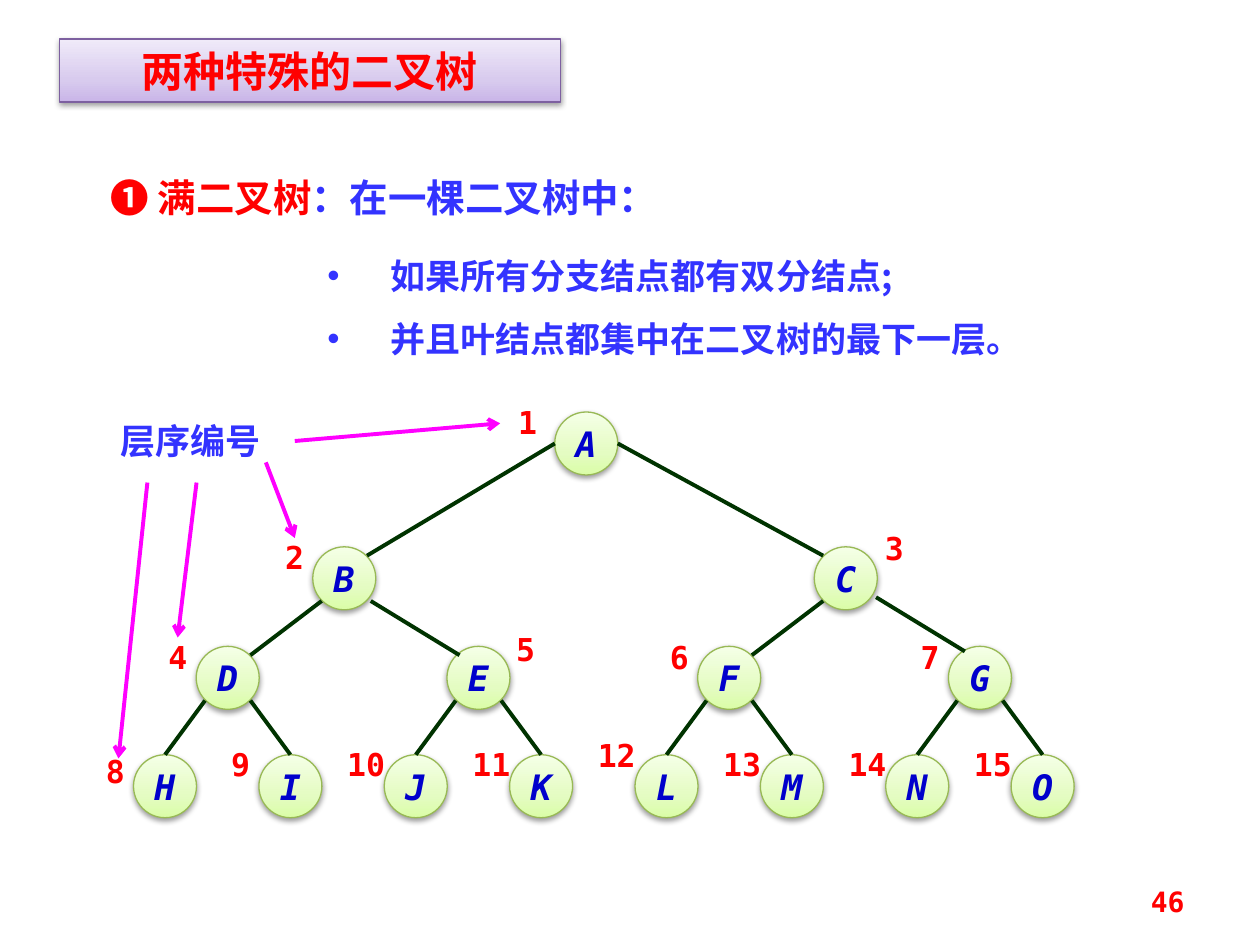
from copy import deepcopy

from lxml.etree import SubElement
from pptx import Presentation
from pptx.dml.color import RGBColor
from pptx.enum.shapes import MSO_CONNECTOR as Link, MSO_SHAPE as Form
from pptx.enum.text import MSO_ANCHOR as Anchor, PP_ALIGN as Align
from pptx.oxml.ns import qn
from pptx.util import Inches, Pt

RED = RGBColor(0xFF, 0x00, 0x00)
BLUE = RGBColor(0x33, 0x33, 0xFF)
NAVY = RGBColor(0x00, 0x00, 0xCC)
PINK = RGBColor(0xFF, 0x00, 0xFF)
DARK = RGBColor(0x00, 0x33, 0x00)
LEAF = RGBColor(0x98, 0xB9, 0x55)
PLUM = RGBColor(0x7D, 0x60, 0xA0)
GREENS = [RGBColor(0xDA, 0xFD, 0xA7), RGBColor(0xE4, 0xFC, 0xC2), RGBColor(0xF5, 0xFF, 0xE7)]
LILACS = [RGBColor(0xC9, 0xB5, 0xE8), RGBColor(0xD8, 0xCB, 0xEE), RGBColor(0xF0, 0xEA, 0xF9)]
MONO = "DejaVu Sans Mono"
SANS = "Noto Sans CJK SC"


def write(box, text, size=20, color=RED, face=MONO, italic=False,
          align=Align.LEFT, inset=None, wrap=True, anchor=Anchor.MIDDLE):
    frame = box.text_frame
    frame.word_wrap = wrap
    frame.vertical_anchor = anchor
    if inset is not None:
        frame.margin_left = frame.margin_right = inset
        frame.margin_top = frame.margin_bottom = inset
    para = frame.paragraphs[-1]
    para.alignment = align
    run = para.add_run()
    run.text = text
    font = run.font
    font.size, font.bold, font.italic = Pt(size), True, italic
    font.color.rgb = color
    font.name = face
    SubElement(run._r.get_or_add_rPr(), qn("a:ea"), typeface=SANS)


def shade(shape, tints, edge):
    fill = shape.fill
    fill.gradient()
    fill.gradient_angle = 90
    first = fill.gradient_stops[0]._gs
    first.addnext(deepcopy(first))
    for stop, tint, place in zip(fill.gradient_stops, tints, (0, 0.35, 1)):
        stop.color.rgb = tint
        stop.position = place
    shape.line.color.rgb = edge
    shape.line.width = Pt(0.75)
    shape.shadow.inherit = False
    glow = SubElement(shape._element.spPr.find(qn("a:effectLst")), qn("a:outerShdw"),
                      blurRad="40000", dist="20000", dir="5400000", rotWithShape="0")
    black = SubElement(glow, qn("a:srgbClr"), val="000000")
    SubElement(black, qn("a:alpha"), val="38000")


deck = Presentation()
deck.slide_width, deck.slide_height = Inches(10), Inches(7.5)
slide = deck.slides.add_slide(deck.slide_layouts[5])
shapes = slide.shapes

title = shapes.title
title.left, title.top, title.width, title.height = map(Inches, (0.47, 0.31, 3.98, 0.5))
shade(title, LILACS, PLUM)
write(title, "两种特殊的二叉树", size=24, face=SANS, align=Align.CENTER)

head = shapes.add_textbox(*map(Inches, (0.78, 1.33, 5.55, 0.47)))
write(head, "❶ 满二叉树", size=22, face=SANS)
write(head, "：在一棵二叉树中：", size=22, color=BLUE, face=SANS)

rules = shapes.add_textbox(*map(Inches, (2.5, 1.8, 6.48, 1.05)))
for i, text in enumerate(("如果所有分支结点都有双分结点;", "并且叶结点都集中在二叉树的最下一层。")):
    if i:
        rules.text_frame.add_paragraph()
    para = rules.text_frame.paragraphs[-1]
    para.line_spacing = Pt(36)
    props = para._p.get_or_add_pPr()
    props.set("marL", str(Inches(0.5)))
    props.set("indent", str(-Inches(0.5)))
    SubElement(props, qn("a:buFont"), typeface="Arial")
    SubElement(props, qn("a:buChar"), char="•")
    write(rules, text, color=BLUE, face=SANS, anchor=Anchor.TOP)

SIZE, DIAG = 0.5, 0.18
LEFT, STEP = 1.31, 0.995
cols = [3.36, 1.43, 5.43] + [0.5 + 2 * i for i in range(4)] + list(range(8))
rows = [3.52] + [4.59] * 2 + [5.38] * 4 + [6.24] * 8
spots = [(LEFT + col * STEP, row) for col, row in zip(cols, rows)]
shifts = {1: (-0.43, -0.07), 3: (0.42, -0.14), 5: (0.41, -0.13),
          8: (-0.36, -0.02), 12: (-0.36, -0.15)}
nodes = []
for num, (name, (x, y)) in enumerate(zip("ABCDEFGHIJKLMNO", spots), 1):
    left, top = x - SIZE / 2, y - SIZE / 2
    node = shapes.add_shape(Form.OVAL, *map(Inches, (left, top, SIZE, SIZE)))
    shade(node, GREENS, LEAF)
    write(node, name, color=NAVY, italic=True, align=Align.CENTER, inset=0, wrap=False)
    nodes.append(node)
    dx, dy = shifts.get(num, (-0.36, -0.07 if num < 8 else -0.08))
    label = shapes.add_textbox(*map(Inches, (left + dx, top + dy, 0.43, 0.31)))
    write(label, str(num), size=18, align=Align.CENTER, inset=0, anchor=Anchor.TOP)

nudges = {5: (0.03, 0), 7: (0.06, -0.03)}
lines = []
for num in range(2, 16):
    side = 1 if num % 2 else -1
    (px, py), (x, y) = spots[num // 2 - 1], spots[num - 1]
    dx, dy = nudges.get(num, (0, 0))
    if num < 4:
        start = (px + side * SIZE / 2, py)
    else:
        start = (px + side * DIAG + dx, py + DIAG + dy)
    end = (x - side * DIAG + dx, y - DIAG + dy) if num < 8 else (x, y - SIZE / 2)
    lines.append((*start, *end, DARK, nodes[num - 1] if num > 7 else None))

note = shapes.add_textbox(*map(Inches, (0.86, 3.28, 1.6, 0.44)))
write(note, "层序编号", color=BLUE)
lines += [(*ends, PINK, None) for ends in (
    (2.34, 3.5, 3.97, 3.36), (2.11, 3.67, 2.34, 4.27),
    (1.56, 3.83, 1.41, 5.06), (1.17, 3.83, 0.94, 6.02))]

for *ends, color, child in lines:
    link = shapes.add_connector(Link.STRAIGHT, *map(Inches, ends))
    link.line.color.rgb = color
    link.line.width = Pt(2.25)
    if child is not None:
        link.end_connect(child, 0)
    if color == PINK:
        SubElement(link.line._get_or_add_ln(), qn("a:tailEnd"), type="arrow")
    SubElement(link._element.spPr, qn("a:effectLst"))

page = shapes.add_textbox(*map(Inches, (7.17, 6.95, 2.33, 0.4)))
write(page, "46", size=16, align=Align.RIGHT)

deck.save("out.pptx")
